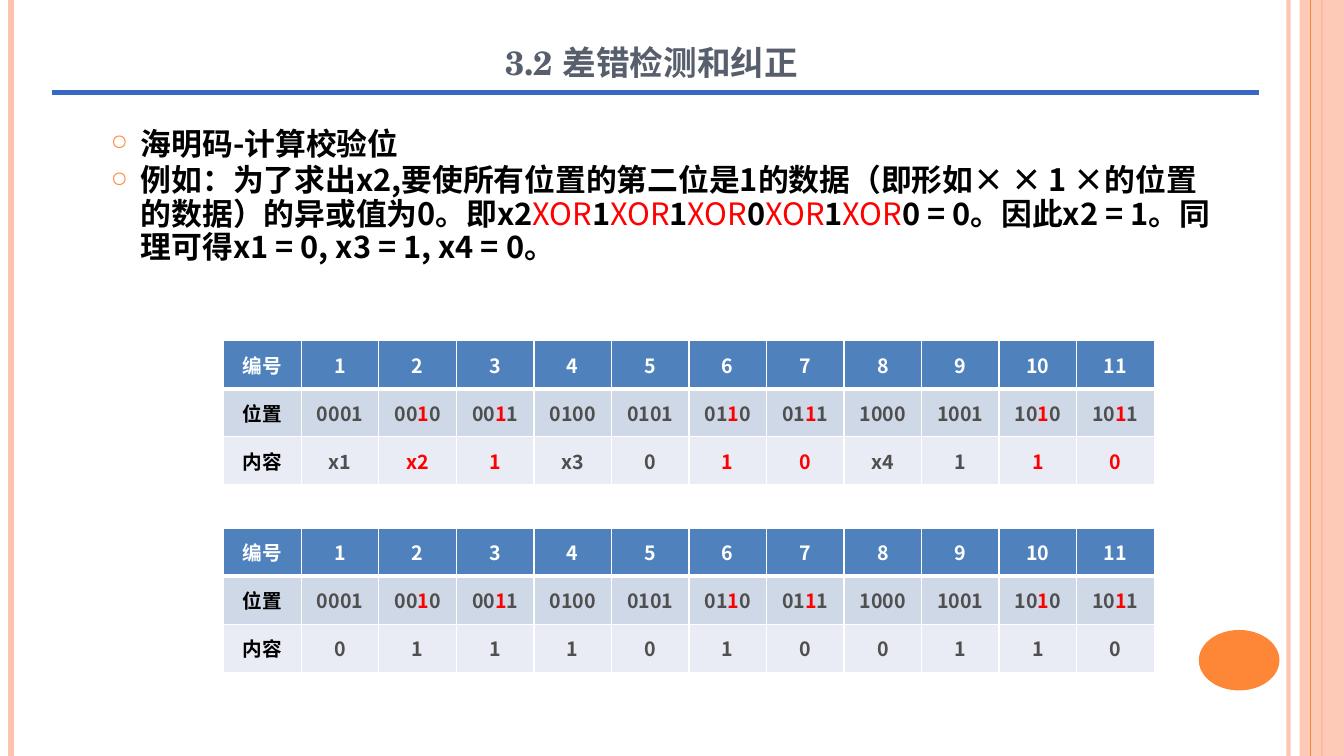
from dataclasses import dataclass

from lxml.etree import SubElement
from pptx import Presentation
from pptx.dml.color import RGBColor
from pptx.enum.shapes import MSO_CONNECTOR, MSO_SHAPE
from pptx.enum.text import MSO_ANCHOR, PP_ALIGN
from pptx.oxml.ns import qn
from pptx.util import Inches, Pt

# The slide is a grid of tenth-inch squares: 133.3 columns by 75 rows.
COLUMNS, ROWS = 133.3, 75
SANS, SERIF = "Noto Sans CJK SC", "TeX Gyre Schola"
COLORS = {
    "peach": "FEC3AE", "orange": "FE8637", "blue": "3668C4", "slate": "575F6D",
    "black": "000000", "white": "FFFFFF", "red": "FF0000", "gray": "4F4F4F",
    "header": "4F81BD", "band": "CFD8E7", "pale": "E9ECF4",
}


@dataclass(frozen=True)
class Rule:
    start: tuple[float, float]
    end: tuple[float, float]
    color: str
    weight: float
    opacity: int = 100


@dataclass(frozen=True)
class Area:
    left: float
    top: float
    width: float
    height: float


@dataclass(frozen=True)
class Decoration:
    kind: MSO_SHAPE
    area: Area
    color: str
    opacity: int = 100


@dataclass(frozen=True)
class CodeTable:
    top: float
    contents: tuple[str, ...]
    highlighted: bool


@dataclass(frozen=True)
class RowStyle:
    fill: str
    label: str
    text: str
    margin: float
    top_line: float
    bottom_line: float


EDGE_RULES = [
    Rule((127.8, 0), (127.8, ROWS), "peach", 3, 93),
    Rule((1.1, 0), (1.1, ROWS), "peach", 4.5),
    Rule((131.1, 0), (131.1, ROWS), "orange", 1.5),
]
INNER_RULE = Rule((130, 0), (130, ROWS), "orange", 0.75)
TITLE_RULE = Rule((5.2, 9.2), (124.9, 9.2), "blue", 3.5)
SIDE_PANEL = Decoration(MSO_SHAPE.RECTANGLE, Area(128.9, 0, 4.4, ROWS), "peach", 87)
PAGE_DISC = Decoration(MSO_SHAPE.OVAL, Area(118.9, 62.5, 8, 6), "orange")
TITLE_AREA = Area(22.5, 0, 85, 8.8)
BODY_AREA = Area(10, 12.3, 111.8, 21.8)

# Text between asterisks is highlighted in red.
BODY_LINES = [
    "海明码-计算校验位",
    "例如：为了求出x2,要使所有位置的第二位是1的数据（即形如× × 1 ×的位置的数据）"
    "的异或值为0。即x2*XOR*1*XOR*1*XOR*0*XOR*1*XOR*0 = 0。"
    "因此x2 = 1。同理可得x1 = 0, x3 = 1, x4 = 0。",
]
POSITIONS = range(1, 12)
TABLE_LEFT, TABLE_WIDTH, TABLE_HEIGHT = 22.2, 92.3, 14.3
ROW_STYLES = [
    RowStyle("header", "white", "white", 0.5, 1, 3),
    RowStyle("band", "black", "gray", 0.7, 3, 1),
    RowStyle("pale", "black", "gray", 0.7, 1, 1),
]
CODE_TABLES = [
    CodeTable(33.8, ("x1", "x2", "1", "x3", "0", "1", "0", "x4", "1", "1", "0"), True),
    CodeTable(52.4, tuple("01110100110"), False),
]


def grid(count: float) -> int:
    return Inches(count / 10)


def place(area: Area) -> tuple[int, ...]:
    return tuple(grid(n) for n in (area.left, area.top, area.width, area.height))


def rgb(color: str) -> RGBColor:
    return RGBColor.from_string(COLORS[color])


def set_opacity(properties, opacity: int) -> None:
    if opacity < 100:
        color = next(properties.iter(qn("a:srgbClr")))
        SubElement(color, qn("a:alpha"), val=str(opacity * 1000))


def draw_rule(page, rule: Rule) -> None:
    line = page.shapes.add_connector(
        MSO_CONNECTOR.STRAIGHT, *map(grid, rule.start + rule.end))
    line.line.color.rgb = rgb(rule.color)
    line.line.width = Pt(rule.weight)
    properties = line._element.spPr
    set_opacity(properties, rule.opacity)
    SubElement(properties, qn("a:effectLst"))


def draw_decoration(page, decoration: Decoration) -> None:
    shape = page.shapes.add_shape(decoration.kind, *place(decoration.area))
    shape.shadow.inherit = False
    shape.fill.solid()
    shape.fill.fore_color.rgb = rgb(decoration.color)
    shape.line.fill.background()
    set_opacity(shape._element.spPr, decoration.opacity)


def add_span(para, text: str, color: str, size: float, bold: bool = True,
             typeface: str = SANS):
    span = para.add_run()
    span.text = text
    formats = {"name": typeface, "size": Pt(size), "bold": bold}
    for name, value in formats.items():
        setattr(span.font, name, value)
    span.font.color.rgb = rgb(color)
    SubElement(span.font._element, qn("a:ea"), typeface=SANS)
    return span


def add_marked_text(para, text: str, color: str, size: float,
                    red_bold: bool = True) -> None:
    """Write text, turning the parts between asterisks red."""
    for index, part in enumerate(text.split("*")):
        if part:
            marked = index % 2 == 1
            add_span(para, part, "red" if marked else color, size,
                     red_bold or not marked)


def add_bullet(para) -> None:
    properties = para._p.get_or_add_pPr()
    properties.set("marL", str(grid(3)))
    properties.set("indent", str(-grid(3)))
    color = SubElement(properties, qn("a:buClr"))
    SubElement(color, qn("a:srgbClr"), val=COLORS["orange"])
    SubElement(properties, qn("a:buSzPct"), val="70000")
    SubElement(properties, qn("a:buChar"), char="○")


def draw_body(page) -> None:
    frame = page.shapes.add_textbox(*place(BODY_AREA)).text_frame
    frame.word_wrap = True
    for index, text in enumerate(BODY_LINES):
        para = frame.add_paragraph() if index else frame.paragraphs[0]
        para.line_spacing = 0.9
        para.space_before = Pt(2.2)
        add_bullet(para)
        add_marked_text(para, text, "black", 22, red_bold=False)


def draw_title(page) -> None:
    frame = page.shapes.add_textbox(*place(TITLE_AREA)).text_frame
    frame.word_wrap = True
    frame.vertical_anchor = MSO_ANCHOR.BOTTOM
    para = frame.paragraphs[0]
    para.alignment = PP_ALIGN.CENTER
    span = add_span(para, "3.2 差错检测和纠正 ", "slate", 30, typeface=SERIF)
    span.font._element.set("cap", "small")


def style_cell(cell, style: RowStyle) -> None:
    cell.vertical_anchor = MSO_ANCHOR.MIDDLE
    for side in ("left", "right", "top", "bottom"):
        setattr(cell, f"margin_{side}", grid(style.margin))
    properties = cell._tc.get_or_add_tcPr()
    weights = {"L": 1, "R": 1, "T": style.top_line, "B": style.bottom_line}
    for side, weight in weights.items():
        border = SubElement(properties, qn(f"a:ln{side}"), w=str(Pt(weight)))
        fill = SubElement(border, qn("a:solidFill"))
        SubElement(fill, qn("a:srgbClr"), val=COLORS["white"])
    cell.fill.solid()
    cell.fill.fore_color.rgb = rgb(style.fill)


def mark_second_bit(position: int) -> str:
    bits = f"{position:04b}"
    return f"{bits[:2]}*1*{bits[3]}" if position & 2 else bits


def draw_code_table(page, code: CodeTable) -> None:
    contents = [f"*{text}*" if code.highlighted and position & 2 else text
                for position, text in zip(POSITIONS, code.contents)]
    rows = [["编号", *map(str, POSITIONS)],
            ["位置", *map(mark_second_bit, POSITIONS)],
            ["内容", *contents]]
    area = Area(TABLE_LEFT, code.top, TABLE_WIDTH, TABLE_HEIGHT)
    table = page.shapes.add_table(len(rows), len(rows[0]), *place(area)).table
    for row_index, (texts, style) in enumerate(zip(rows, ROW_STYLES)):
        for column_index, text in enumerate(texts):
            cell = table.cell(row_index, column_index)
            style_cell(cell, style)
            para = cell.text_frame.paragraphs[0]
            para.alignment = PP_ALIGN.CENTER
            add_marked_text(para, text, style.text if column_index else style.label, 14)


def main() -> None:
    deck = Presentation()
    deck.slide_width, deck.slide_height = grid(COLUMNS), grid(ROWS)
    page = deck.slides.add_slide(deck.slide_layouts[6])
    for rule in EDGE_RULES:
        draw_rule(page, rule)
    draw_decoration(page, SIDE_PANEL)
    draw_rule(page, INNER_RULE)
    draw_decoration(page, PAGE_DISC)
    draw_body(page)
    for code in CODE_TABLES:
        draw_code_table(page, code)
    draw_rule(page, TITLE_RULE)
    draw_title(page)
    deck.save("out.pptx")


if __name__ == "__main__":
    main()
